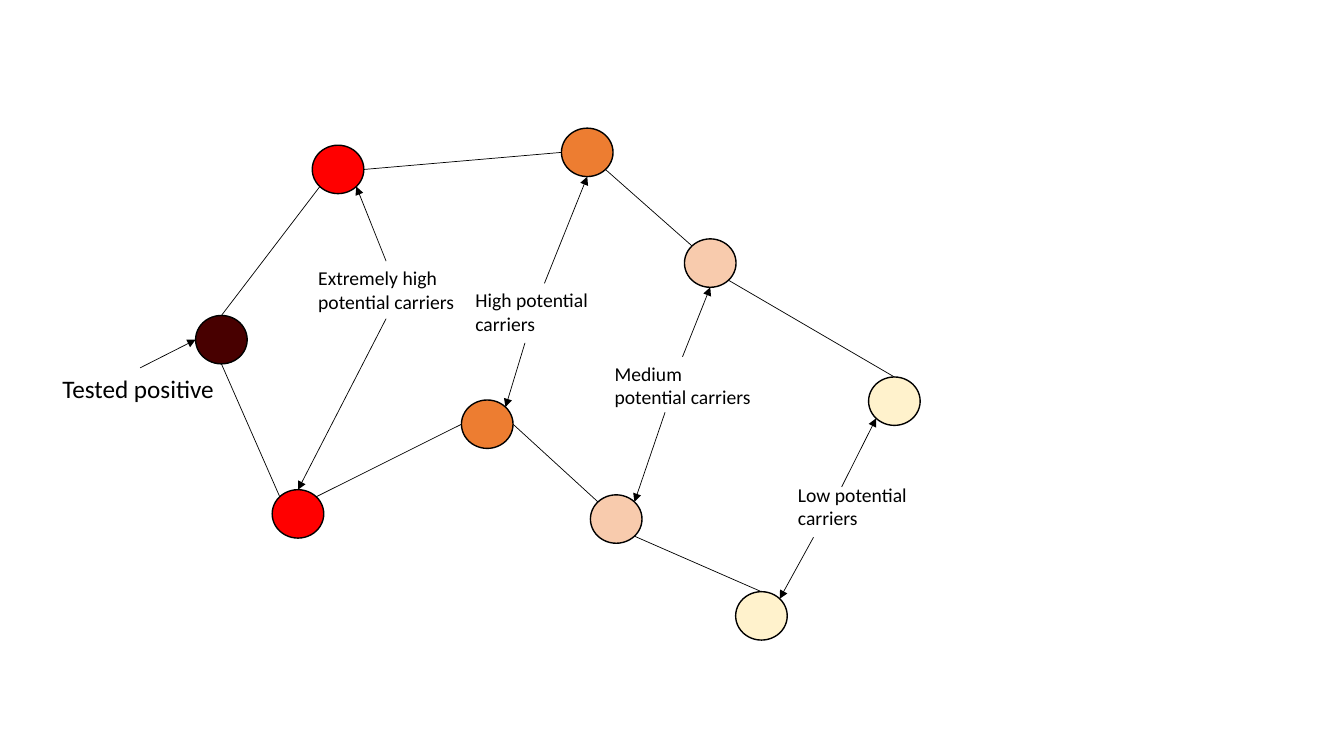
import math

import pptx
import pptx.dml.color
import pptx.enum.shapes
import pptx.oxml
import pptx.oxml.ns
import pptx.util

Cm = pptx.util.Cm
Pt = pptx.util.Pt

COLOURS = {
    "ink": "000000",
    "positive": "480000",
    "extreme": "FF0000",
    "high": "ED7D31",
    "medium": "F8CBAD",
    "low": "FFF2CC",
}
FONT = "Calibri"
NODE_WIDTH, NODE_HEIGHT = 1.3, 1.22

# Lengths are in centimetres.
# (risk level, branch): left, top
PEOPLE = {
    ("positive", "source"): (4.93, 7.95),
    ("extreme", "upper"): (7.87, 3.66),
    ("extreme", "lower"): (6.86, 12.34),
    ("high", "upper"): (14.15, 3.23),
    ("high", "lower"): (11.63, 10.08),
    ("medium", "upper"): (17.25, 6.02),
    ("medium", "lower"): (14.88, 12.47),
    ("low", "upper"): (21.89, 9.5),
    ("low", "lower"): (18.54, 14.91),
}

# Points on a circle, in degrees clockwise from the right
SIDES = {
    "right": 0, "bottom right": 45, "bottom": 90, "bottom left": 135,
    "left": 180, "top left": 225, "top": 270, "top right": 315,
}

# branch, from level, from side, to level, to side
CONTACTS = [
    ("upper", "positive", "top", "extreme", "bottom left"),
    ("upper", "extreme", "right", "high", "left"),
    ("upper", "high", "bottom right", "medium", "top left"),
    ("upper", "medium", "bottom right", "low", "top"),
    ("lower", "positive", "bottom", "extreme", "top left"),
    ("lower", "extreme", "top right", "high", "left"),
    ("lower", "high", "right", "medium", "top left"),
    ("lower", "medium", "bottom right", "low", "top"),
]

# wording, (left, top, width, height), text size
LABELS = [
    ("Tested positive", (1.32, 9.27, 4.45, 1.02), 18),
    ("Extremely high potential carriers", (7.77, 6.58, 3.94, 1.45), 14),
    ("High potential carriers", (11.73, 7.14, 3.94, 1.45), 14),
    ("Medium potential carriers", (15.24, 8.99, 3.94, 1.45), 14),
    ("Low potential carriers", (19.86, 12.04, 3.94, 1.45), 14),
]

# start by the label, level, branch, side reached
POINTERS = [
    ((3.53, 9.27), "positive", "source", "left"),
    ((9.73, 6.58), "extreme", "upper", "bottom right"),
    ((9.73, 8.03), "extreme", "lower", "top"),
    ((13.72, 7.14), "high", "upper", "bottom"),
    ((13.23, 8.64), "high", "lower", "top right"),
    ((17.2, 8.99), "medium", "upper", "bottom"),
    ((16.76, 10.39), "medium", "lower", "top right"),
    ((21.21, 12.27), "low", "upper", "bottom left"),
    ((20.5, 13.54), "low", "lower", "top right"),
]


def colour(name):
    """Return the named colour."""
    return pptx.dml.color.RGBColor.from_string(COLOURS[name])


def rim(level, branch, side):
    """Return the point on the given side of a person's circle."""
    place = "source" if level == "positive" else branch
    left, top = PEOPLE[level, place]
    angle = math.radians(SIDES[side])
    return (left + NODE_WIDTH / 2 * (1 + math.cos(angle)),
            top + NODE_HEIGHT / 2 * (1 + math.sin(angle)))


def add_person(page, level, left, top):
    """Draw a circle filled with the colour of its risk level."""
    circle = page.shapes.add_shape(
        pptx.enum.shapes.MSO_SHAPE.OVAL,
        Cm(left), Cm(top), Cm(NODE_WIDTH), Cm(NODE_HEIGHT))
    circle.shadow.inherit = False
    circle.fill.solid()
    circle.fill.fore_color.rgb = colour(level)
    circle.line.color.rgb = colour("ink")
    circle.line.width = Pt(1)


def add_line(page, start, end, arrow=False):
    """Draw a thin straight line, with an arrowhead at its end if asked."""
    line = page.shapes.add_connector(
        pptx.enum.shapes.MSO_CONNECTOR.STRAIGHT,
        *(Cm(value) for value in (*start, *end)))
    line.line.color.rgb = colour("ink")
    line.line.width = Pt(0.5)
    if arrow:
        head = pptx.oxml.parse_xml(
            "<a:tailEnd %s type='triangle'/>" % pptx.oxml.ns.nsdecls("a"))
        line.line._get_or_add_ln().append(head)
    line._element.spPr.append(pptx.oxml.parse_xml(
        "<a:effectLst %s/>" % pptx.oxml.ns.nsdecls("a")))


def add_label(page, wording, place, size):
    """Write a wrapped label."""
    box = page.shapes.add_textbox(*(Cm(value) for value in place))
    box.text_frame.word_wrap = True
    span = box.text_frame.paragraphs[0].add_run()
    span.text = wording
    for name, value in {"name": FONT, "size": Pt(size)}.items():
        setattr(span.font, name, value)
    span.font.color.rgb = colour("ink")


deck = pptx.Presentation()
deck.slide_width, deck.slide_height = Cm(33.87), Cm(19.05)
page = deck.slides.add_slide(deck.slide_layouts[6])

for (level, branch), (left, top) in PEOPLE.items():
    add_person(page, level, left, top)
for branch, giver, giver_side, taker, taker_side in CONTACTS:
    add_line(page, rim(giver, branch, giver_side), rim(taker, branch, taker_side))
for label in LABELS:
    add_label(page, *label)
for start, level, branch, side in POINTERS:
    add_line(page, start, rim(level, branch, side), arrow=True)

deck.save("out.pptx")
